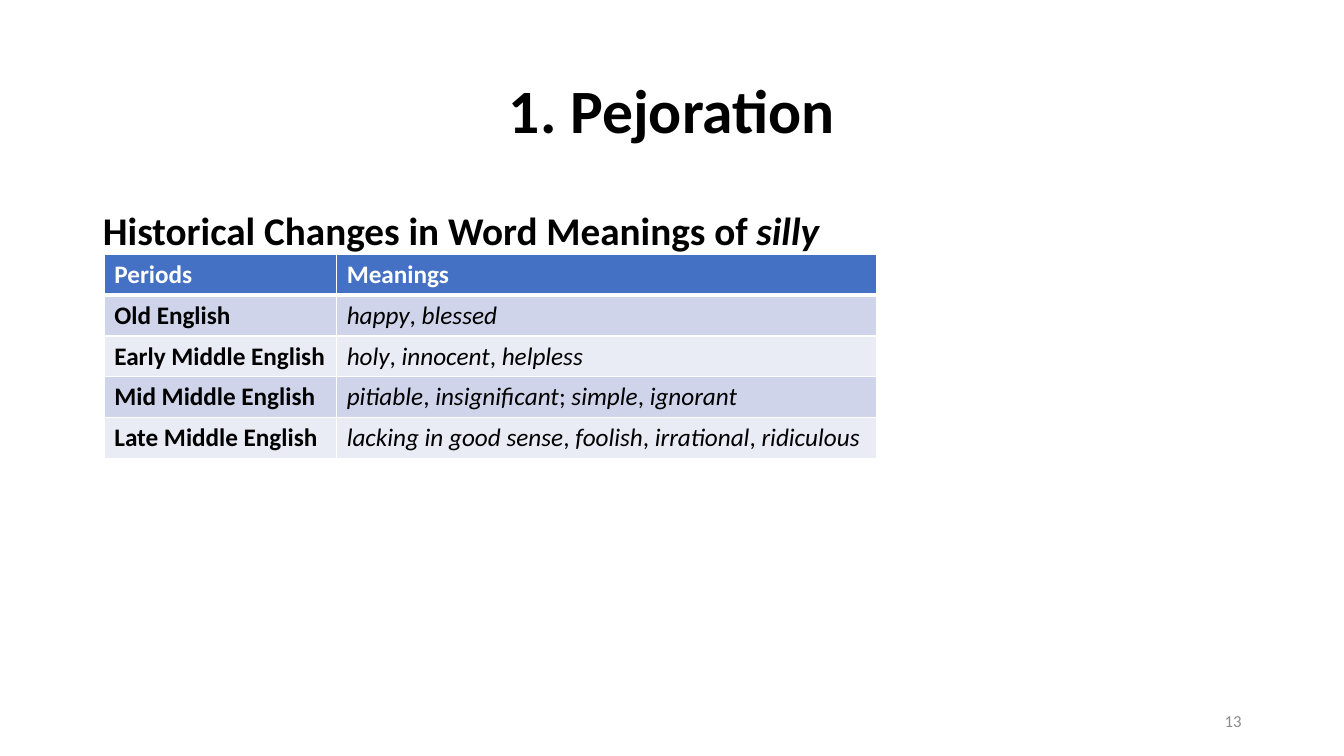
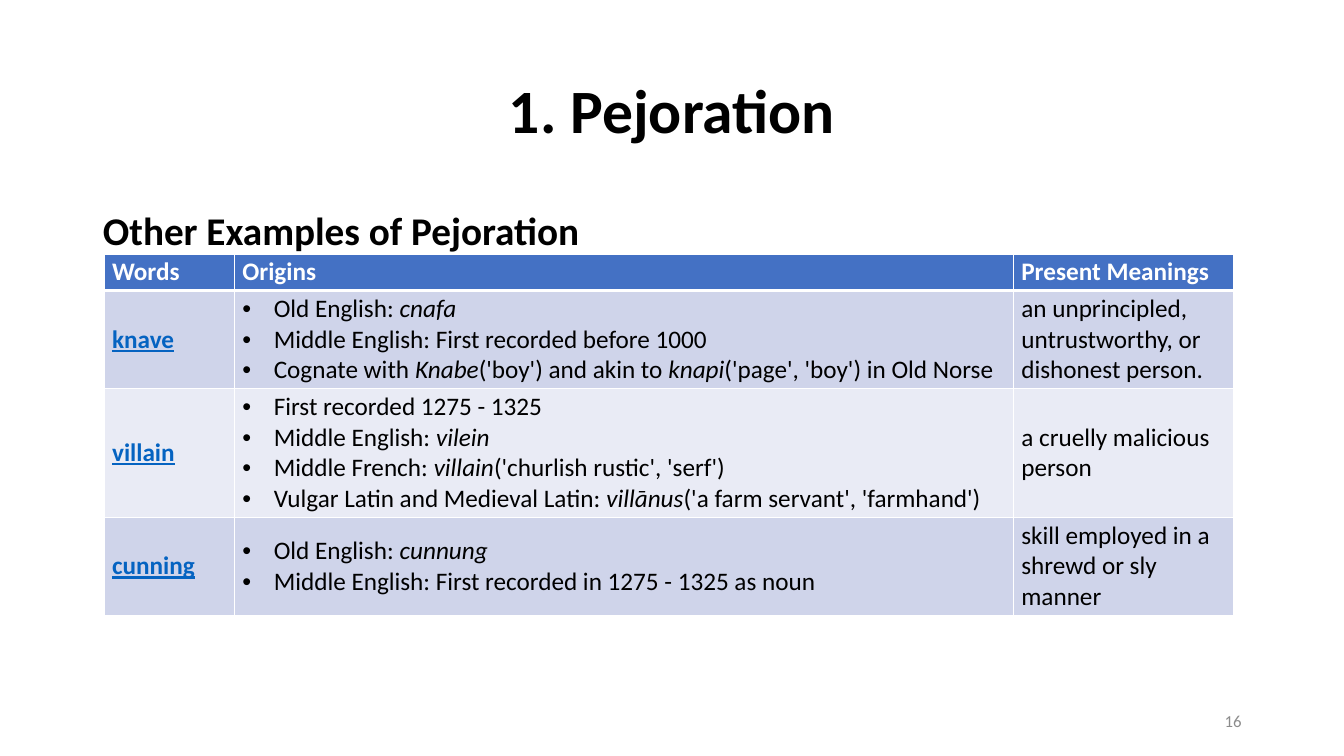
from lxml import etree
from pptx import Presentation
from pptx.dml.color import RGBColor
from pptx.enum import text
from pptx.oxml import ns
from pptx.util import Pt

FONT = "Calibri"
BLACK = RGBColor(0x00, 0x00, 0x00)
WHITE = RGBColor(0xFF, 0xFF, 0xFF)
GRAY = RGBColor(0x8C, 0x8C, 0x8C)
LINK_BLUE = RGBColor(0x05, 0x63, 0xC1)
HEADER_BLUE = RGBColor(0x44, 0x71, 0xC4)
BANDS = [RGBColor(0xCF, 0xD4, 0xEA), RGBColor(0xE9, 0xEB, 0xF5)]

ALIGN, ANCHOR = text.PP_ALIGN, text.MSO_ANCHOR
FRAME_STYLES = {
    "title": dict(box=(66, 29, 828, 104), size=44, bold=True, color=BLACK,
                  align=ALIGN.CENTER, anchor=ANCHOR.MIDDLE, spacing=0.9),
    "page": dict(box=(678, 500.5, 216, 29), size=12, bold=False, color=GRAY,
                 align=ALIGN.RIGHT, anchor=ANCHOR.MIDDLE, spacing=1),
    "heading": dict(box=(66.5, 144, 828, 42), size=28, bold=True, color=BLACK,
                    align=ALIGN.LEFT, anchor=ANCHOR.TOP, spacing=1),
}
TABLE_LEFT, TABLE_TOP = 74.5, 181.5
CELL_SIZE = 18
BULLET_INDENT = 22.5

SLIDES = [
    dict(
        page="13",
        heading="Historical Changes in Word Meanings of *silly*",
        columns=[166, 385.5], heights=[29.25] * 5, inset=7.2,
        key_style=dict(bold=True, color=BLACK), bullet_column=None,
        rows=[
            ["Periods", "Meanings"],
            ["Old English", "*happy*, *blessed*"],
            ["Early Middle English", "*holy*, *innocent*, *helpless*"],
            ["Mid Middle English", "*pitiable*, *insignificant*; *simple*, *ignorant*"],
            ["Late Middle English",
             "*lacking in good sense*, *foolish*, *irrational*, *ridiculous*"],
        ],
    ),
    dict(
        page="16",
        heading="Other Examples of Pejoration",
        columns=[93, 556.5, 157],
        heights=[22 * lines + 4 for lines in (1, 3, 4, 3)], inset=5.6,
        key_style=dict(bold=True, underline=True, color=LINK_BLUE), bullet_column=1,
        rows=[
            ["Words", "Origins", "Present Meanings"],
            ["knave",
             "Old English: *cnafa*\n"
             "Middle English: First recorded before 1000\n"
             "Cognate with *Knabe*('boy') and akin to *knapi*('page', 'boy') in Old Norse",
             "an unprincipled, untrustworthy, or dishonest person."],
            ["villain",
             "First recorded 1275 - 1325\n"
             "Middle English: *vilein*\n"
             "Middle French: *villain*('churlish rustic', 'serf')\n"
             "Vulgar Latin and Medieval Latin: *villānus*('a farm servant', 'farmhand')",
             "a cruelly malicious person"],
            ["cunning",
             "Old English: *cunnung*\n"
             "Middle English: First recorded in 1275 - 1325 as noun",
             "skill employed in a shrewd or sly manner"],
        ],
    ),
]


def add_runs(paragraph, marked, size, color, **font_format):
    """Write the text as runs; parts between asterisks are italic."""
    for part_no, part in enumerate(marked.split("*")):
        if not part:
            continue
        run = paragraph.add_run()
        run.text = part
        settings = dict(name=FONT, size=Pt(size), italic=part_no % 2 == 1, **font_format)
        for key, value in settings.items():
            setattr(run.font, key, value)
        run.font.color.rgb = color


def set_borders(cell, top, bottom):
    """Put white borders on a cell, 1 pt wide at the left and right."""
    properties = cell._tc.get_or_add_tcPr()
    for place, (side, width) in enumerate(dict(L=1, R=1, T=top, B=bottom).items()):
        line = etree.Element(ns.qn(f"a:ln{side}"), w=str(Pt(width)))
        fill = etree.SubElement(line, ns.qn("a:solidFill"))
        etree.SubElement(fill, ns.qn("a:srgbClr"), val=str(WHITE))
        properties.insert(place, line)


prs = Presentation()
prs.slide_width, prs.slide_height = Pt(960), Pt(540)

for content in SLIDES:
    slide = prs.slides.add_slide(prs.slide_layouts[6])

    frame_texts = dict(title="1. Pejoration", page=content["page"],
                       heading=content["heading"])
    for role, words in frame_texts.items():
        style = FRAME_STYLES[role]
        frame = slide.shapes.add_textbox(*map(Pt, style["box"])).text_frame
        frame.word_wrap = True
        frame.vertical_anchor = style["anchor"]
        paragraph = frame.paragraphs[0]
        paragraph.alignment = style["align"]
        paragraph.line_spacing = style["spacing"]
        add_runs(paragraph, words, style["size"], style["color"], bold=style["bold"])

    rows, columns, heights = content["rows"], content["columns"], content["heights"]
    table = slide.shapes.add_table(
        len(rows), len(columns), Pt(TABLE_LEFT), Pt(TABLE_TOP),
        Pt(sum(columns)), Pt(sum(heights))).table
    for column, width in zip(table.columns, columns):
        column.width = Pt(width)
    for row, height in zip(table.rows, heights):
        row.height = Pt(height)

    for row_no, row_texts in enumerate(rows):
        for column_no, words in enumerate(row_texts):
            cell = table.cell(row_no, column_no)
            cell.vertical_anchor = ANCHOR.MIDDLE
            cell.margin_left = Pt(content["inset"])
            cell.margin_right = cell.margin_top = cell.margin_bottom = 0
            cell.fill.solid()
            cell.fill.fore_color.rgb = BANDS[(row_no - 1) % 2] if row_no else HEADER_BLUE
            set_borders(cell, top=3 if row_no == 1 else 1, bottom=1 if row_no else 3)

            if row_no == 0:
                cell_style = dict(bold=True, color=WHITE)
            elif column_no == 0:
                cell_style = content["key_style"]
            else:
                cell_style = dict(bold=False, color=BLACK)
            for line_no, line in enumerate(words.split("\n")):
                frame = cell.text_frame
                paragraph = frame.add_paragraph() if line_no else frame.paragraphs[0]
                if row_no and column_no == content["bullet_column"]:
                    properties = paragraph._p.get_or_add_pPr()
                    properties.set("marL", str(Pt(BULLET_INDENT)))
                    properties.set("indent", str(Pt(-BULLET_INDENT)))
                    etree.SubElement(properties, ns.qn("a:buFont"), typeface="Arial")
                    etree.SubElement(properties, ns.qn("a:buChar"), char="•")
                add_runs(paragraph, line, CELL_SIZE, **cell_style)

prs.save("out.pptx")
